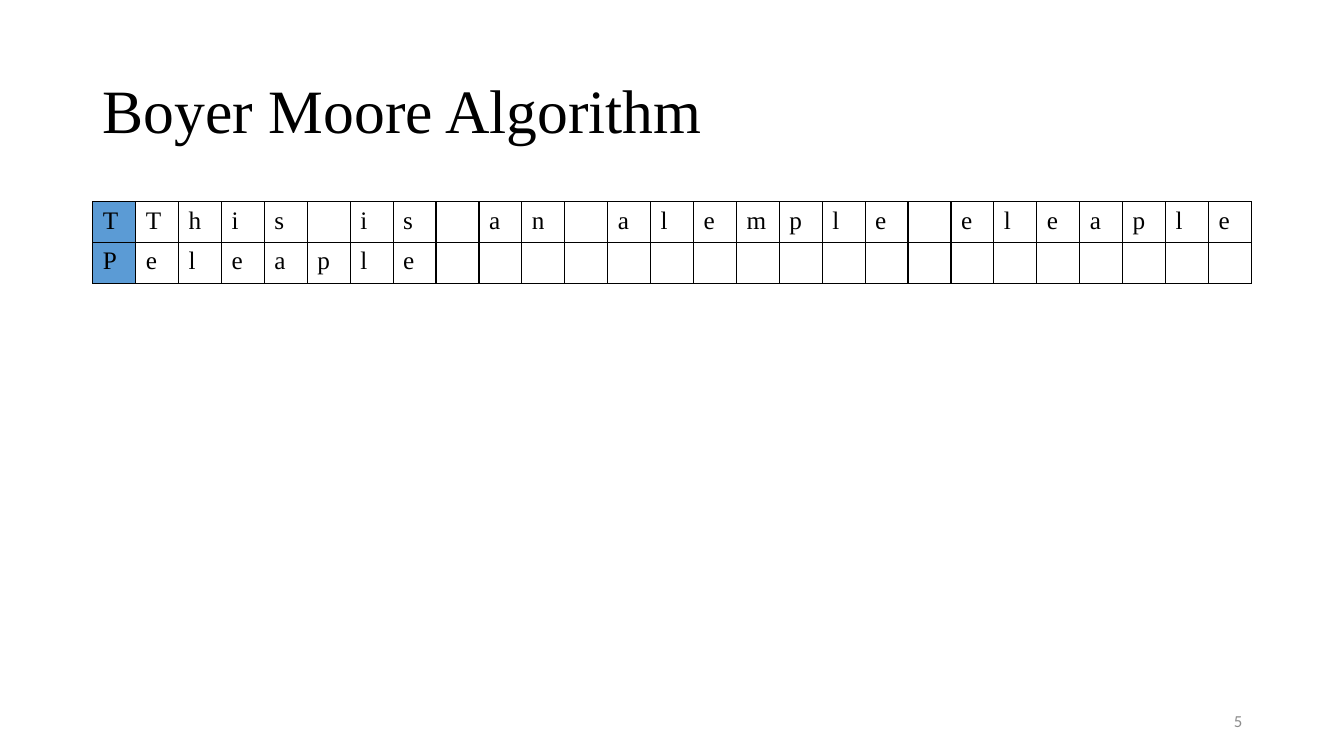
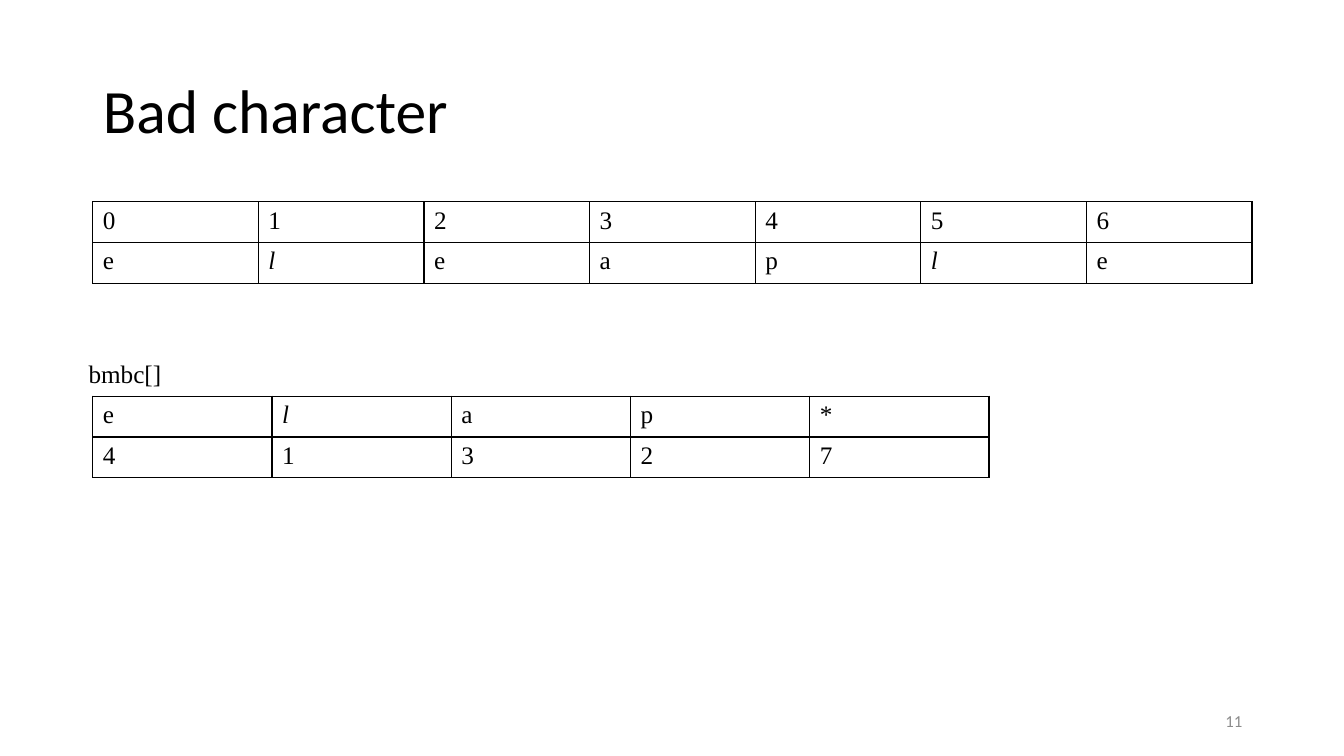
import pptx
import pptx.dml.color
import pptx.enum.text
import pptx.oxml
import pptx.oxml.ns
import pptx.util
from pptx.util import Inches, Pt

# Shared style
BLACK = pptx.dml.color.RGBColor(0x00, 0x00, 0x00)
GREY = pptx.dml.color.RGBColor(0x8C, 0x8C, 0x8C)
BLUE = pptx.dml.color.RGBColor(0x5B, 0x9B, 0xD5)
SERIF, SANS = "Times New Roman", "Calibri"
WIDTH, HEIGHT = 13.33, 7.5
MARGIN = 0.92
CONTENT_WIDTH = 11.5
ROW_HEIGHT = 0.405
TITLE_ONLY = 5

# Content
TEXT = "This is an alemple eleaple"
PATTERN = "eleaple"
SLIDES = [
    {
        "title": "Boyer Moore Algorithm", "font": SERIF, "number": "5",
        "tables": [
            {"top": 2, "width": CONTENT_WIDTH, "header_column": True,
             "rows": ["T" + TEXT, "P" + PATTERN.ljust(len(TEXT))]},
        ],
    },
    {
        "title": "Bad character", "font": SANS, "number": "11",
        "tables": [
            {"top": 2, "width": CONTENT_WIDTH, "italic": "l",
             "rows": ["0123456", PATTERN]},
            {"top": 3.93, "width": 8.89, "italic": "l", "label": "bmbc[]",
             "rows": ["elap*", "41327"]},
        ],
    },
]


def style(paragraph, font_name, size, color=BLACK):
    paragraph.font.name = font_name
    paragraph.font.size = Pt(size)
    paragraph.font.color.rgb = color


def add_text(slide, text, box, font_name, size, color=BLACK, align=None):
    shape = slide.shapes.add_textbox(*map(Inches, box))
    frame = shape.text_frame
    frame.word_wrap = True
    frame.vertical_anchor = pptx.enum.text.MSO_ANCHOR.MIDDLE
    paragraph = frame.paragraphs[0]
    paragraph.text = text
    paragraph.alignment = align
    style(paragraph, font_name, size, color)


def add_title(slide, text, font_name):
    title = slide.shapes.title
    title.left, title.top = Inches(MARGIN), Inches(0.4)
    title.width, title.height = Inches(CONTENT_WIDTH), Inches(1.45)
    title.text_frame.vertical_anchor = pptx.enum.text.MSO_ANCHOR.MIDDLE
    paragraph = title.text_frame.paragraphs[0]
    paragraph.text = text
    paragraph.alignment = pptx.enum.text.PP_ALIGN.LEFT
    paragraph.line_spacing = 0.9
    style(paragraph, font_name, 44)


def add_borders(cell):
    properties = cell._tc.get_or_add_tcPr()
    for index, side in enumerate("LRTB"):
        properties.insert(index, pptx.oxml.parse_xml(
            f'<a:ln{side} {pptx.oxml.ns.nsdecls("a")} w="{Pt(1)}">'
            f'<a:solidFill><a:srgbClr val="{BLACK}"/></a:solidFill></a:ln{side}>'))


def add_letter_table(slide, top, width, rows, header_column=False, italic="", label=None):
    """Draw one character per cell, with equal columns."""
    if label:
        add_text(slide, label, (0.78, top - 0.42, 3.72, 0.4), SERIF, 18)
    columns = len(rows[0])
    table = slide.shapes.add_table(
        len(rows), columns, Inches(MARGIN), Inches(top),
        Inches(width), Inches(ROW_HEIGHT * len(rows))).table
    table.first_row = table.horz_banding = False
    for column in table.columns:
        column.width = Inches(width / columns)
    for row_index, letters in enumerate(rows):
        for column_index, letter in enumerate(letters):
            cell = table.cell(row_index, column_index)
            if header_column and column_index == 0:
                cell.fill.solid()
                cell.fill.fore_color.rgb = BLUE
            else:
                cell.fill.background()
            add_borders(cell)
            paragraph = cell.text_frame.paragraphs[0]
            paragraph.text = letter.strip()
            style(paragraph, SERIF, 18)
            if letter in italic:
                paragraph.font.italic = True


def main():
    presentation = pptx.Presentation()
    presentation.slide_width, presentation.slide_height = Inches(WIDTH), Inches(HEIGHT)
    for content in SLIDES:
        slide = presentation.slides.add_slide(presentation.slide_layouts[TITLE_ONLY])
        add_title(slide, content["title"], content["font"])
        for table in content["tables"]:
            add_letter_table(slide, **table)
        add_text(slide, content["number"], (MARGIN + CONTENT_WIDTH - 3, 6.95, 3, 0.4),
                 SANS, 12, GREY, pptx.enum.text.PP_ALIGN.RIGHT)
    presentation.save("out.pptx")


if __name__ == "__main__":
    main()
